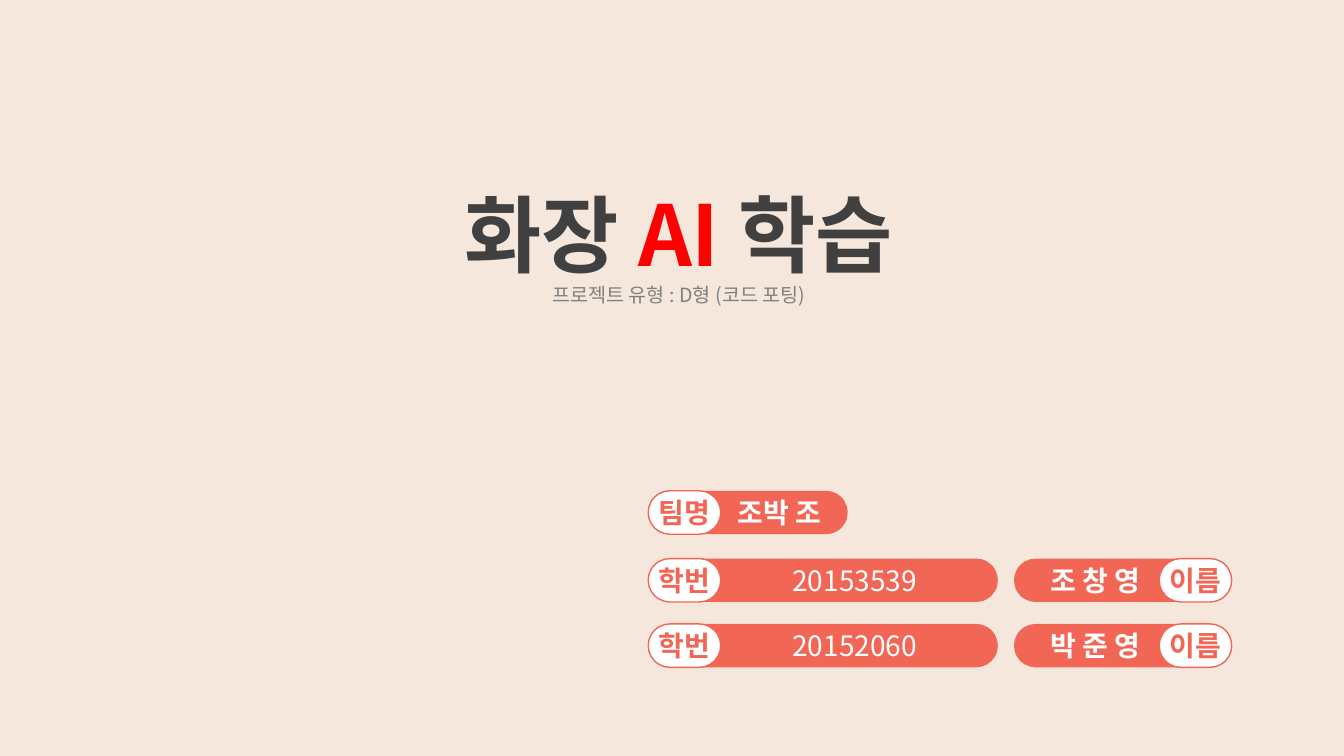
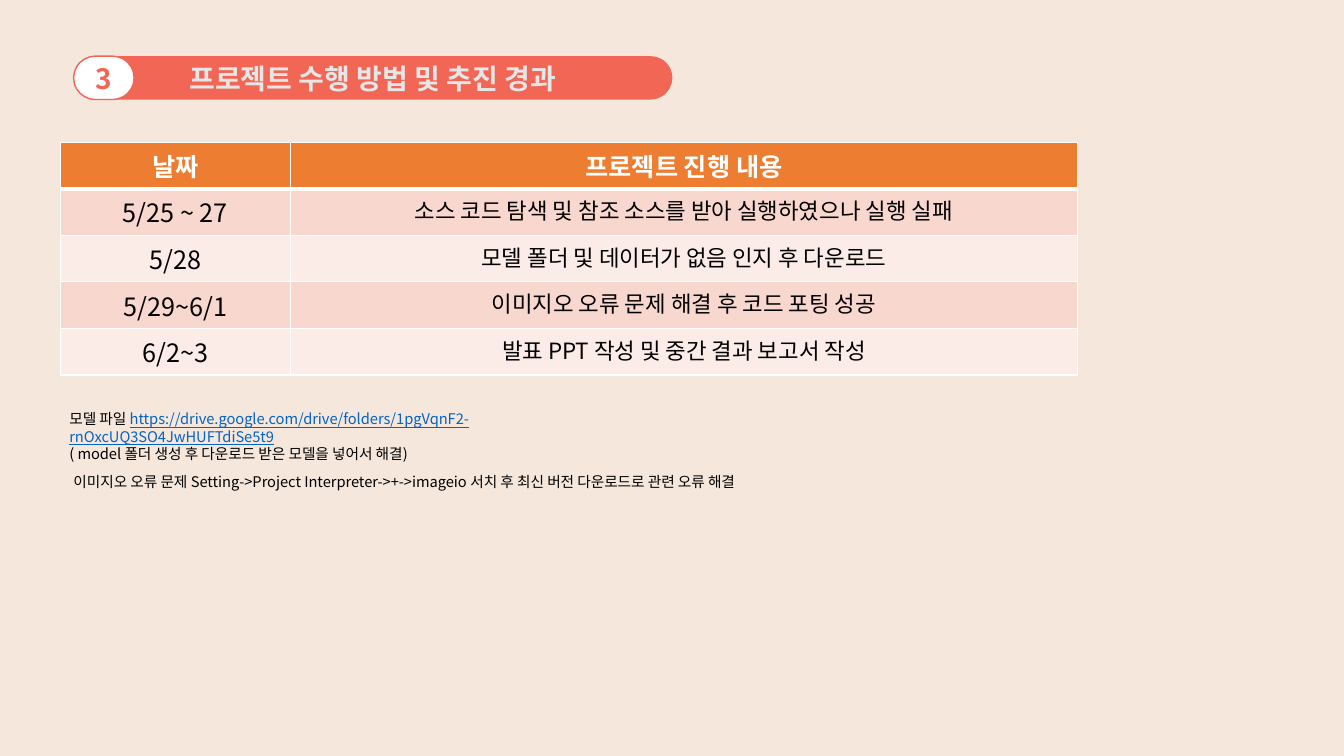
from lxml import etree
from pptx import Presentation
from pptx.dml.color import RGBColor
from pptx.enum import shapes, text
from pptx.oxml.ns import qn
from pptx.util import Pt

# Shared style
FONT = "Noto Sans CJK KR"
CORAL, WHITE, BLACK, CREAM = "F16655", "FFFFFF", "000000", "F5E7DC"
LEFT, CENTER = text.PP_ALIGN.LEFT, text.PP_ALIGN.CENTER
TOP, MIDDLE = text.MSO_ANCHOR.TOP, text.MSO_ANCHOR.MIDDLE
PILL_H, BADGE_W = 31, 51.8
rgb = RGBColor.from_string


def write(tf, runs, new=False, size=20, color=BLACK, bold=False, font=FONT,
          align=LEFT, indent=0):
    """Write one paragraph; runs is a string or a list of (text, colour, underline)."""
    p = tf.add_paragraph() if new else tf.paragraphs[0]
    p.alignment = align
    if indent:
        p._p.get_or_add_pPr().set("marL", str(Pt(indent)))
    if isinstance(runs, str):
        runs = [(runs, color, False)]
    for content, run_color, underline in runs:
        r = p.add_run()
        r.text = content
        f = r.font
        f.name, f.size, f.bold, f.underline = font, Pt(size), bold, underline
        f.color.rgb = rgb(run_color)
        ea = etree.Element(qn("a:ea"), typeface=FONT)
        r._r.rPr.find(qn("a:latin")).addnext(ea)


def pill(s, x, y, w, label=None, badge=False, **fmt):
    """Draw a rounded bar, or a white outlined badge, with its label if any."""
    sp = s.shapes.add_shape(shapes.MSO_SHAPE.ROUNDED_RECTANGLE,
                            Pt(x), Pt(y), Pt(w), Pt(PILL_H))
    sp.adjustments[0] = 0.5
    sp.shadow.inherit = False
    sp.fill.solid()
    sp.fill.fore_color.rgb = rgb(WHITE if badge else CORAL)
    if badge:
        sp.line.color.rgb = rgb(CORAL)
        sp.line.width = Pt(1)
        fmt = {"bold": True, "align": CENTER, **fmt}
    else:
        sp.line.fill.background()
    if label:
        tf = sp.text_frame
        tf.vertical_anchor = MIDDLE
        tf.word_wrap = not badge
        write(tf, label, color=CORAL if badge else WHITE, **fmt)


prs = Presentation()
prs.slide_width, prs.slide_height = Pt(960), Pt(540)
bg = prs.slide_master.background.fill
bg.solid()
bg.fore_color.rgb = rgb(CREAM)
title_only = prs.slide_layouts[5]

# Slide 1: cover
s = prs.slides.add_slide(title_only)
title = s.shapes.title
title.left, title.top, title.width, title.height = Pt(307.4), Pt(126.7), Pt(355), Pt(97.2)
tf = title.text_frame
tf.auto_size = text.MSO_AUTO_SIZE.NONE
tf.vertical_anchor = TOP
tf.word_wrap = False
write(tf, [("화장 ", "404040", False), ("AI ", "FF0000", False), ("학습", "404040", False)],
      size=60, bold=True, align=CENTER)
write(tf, "프로젝트 유형 : D형 (코드 포팅)", new=True, size=14, color="808080", align=CENTER)

# Team name, then one row per member
pill(s, 472.3, 350.6, 133.2, "조박 조", bold=True, align=CENTER, indent=36)
pill(s, 463, 350.6, BADGE_W, "팀명", badge=True)
members = [("20153539", "조 창 영"), ("20152060", "박 준 영")]
for i, (number, name) in enumerate(members):
    y = 399 + 46.7 * i
    pill(s, 472.3, y, 240.5, number, align=CENTER, indent=36)
    pill(s, 463, y, BADGE_W, "학번", badge=True)
    pill(s, 724.3, y, 136, name, bold=True, indent=14.4)
    pill(s, 828, y, BADGE_W, "이름", badge=True)

# Slide 2: progress; the title lies on a rounded bar, under the number badge
s = prs.slides.add_slide(title_only)
title = s.shapes.title
pill(s, 52.6, 40.1, 427.7)
s.shapes._spTree.append(title._element)
title.left, title.top, title.width, title.height = Pt(52.6), Pt(40.1), Pt(427.7), Pt(PILL_H)
tf = title.text_frame
tf.auto_size = text.MSO_AUTO_SIZE.NONE
tf.vertical_anchor = MIDDLE
tf.word_wrap = True
write(tf, "프로젝트 수행 방법 및 추진 경과", color="E7E6E6", bold=True, font="Arial", align=CENTER)
pill(s, 52.6, 40.1, 43.2, "3", badge=True)

# Schedule table
rows = [
    ("날짜", "프로젝트 진행 내용"),
    ("5/25 ~ 27", "소스 코드 탐색 및 참조 소스를 받아 실행하였으나 실행 실패"),
    ("5/28", "모델 폴더 및 데이터가 없음 인지 후 다운로드"),
    ("5/29~6/1", "이미지오 오류 문제 해결 후 코드 포팅 성공"),
    ("6/2~3", "발표 PPT 작성 및 중간 결과 보고서 작성"),
]
table = s.shapes.add_table(len(rows), 2, Pt(43.2), Pt(101.5), Pt(726.5), Pt(146)).table
table.columns[0].width, table.columns[1].width = Pt(164.2), Pt(562.3)
for i, row in enumerate(rows):
    header = i == 0
    fill = "ED7D31" if header else ("FCECE8", "F8D7CE")[i % 2]
    for j, content in enumerate(row):
        cell = table.cell(i, j)
        tcPr = cell._tc.get_or_add_tcPr()
        for side in "LRTB":
            thick = (header and side == "B") or (i == 1 and side == "T")
            ln = etree.SubElement(tcPr, qn("a:ln" + side), w=str(Pt(3 if thick else 1)))
            solid = etree.SubElement(ln, qn("a:solidFill"))
            etree.SubElement(solid, qn("a:srgbClr"), val=WHITE)
        cell.fill.solid()
        cell.fill.fore_color.rgb = rgb(fill)
        write(cell.text_frame, content, size=18 if header or j == 0 else 16,
              color=WHITE if header else BLACK, bold=header, align=CENTER)

# Notes under the table
url = "https://drive.google.com/drive/folders/1pgVqnF2-rnOxcUQ3SO4JwHUFTdiSe5t9"
notes = [
    (42.5, 289.4, 440, 54.7, [
        [("모델 파일 ", BLACK, False), (url, "0563C1", True)],
        "( model 폴더 생성 후 다운로드 받은 모델을 넣어서 해결)"]),
    (45.4, 334.1, 531.4, 20.2, [
        "이미지오 오류 문제 Setting->Project Interpreter->+->imageio 서치 후 최신 버전 다운로드로 관련 오류 해결"]),
]
for x, y, w, h, paragraphs in notes:
    tf = s.shapes.add_textbox(Pt(x), Pt(y), Pt(w), Pt(h)).text_frame
    tf.word_wrap = True
    for i, runs in enumerate(paragraphs):
        write(tf, runs, new=i > 0, size=10.5)

prs.save("out.pptx")
